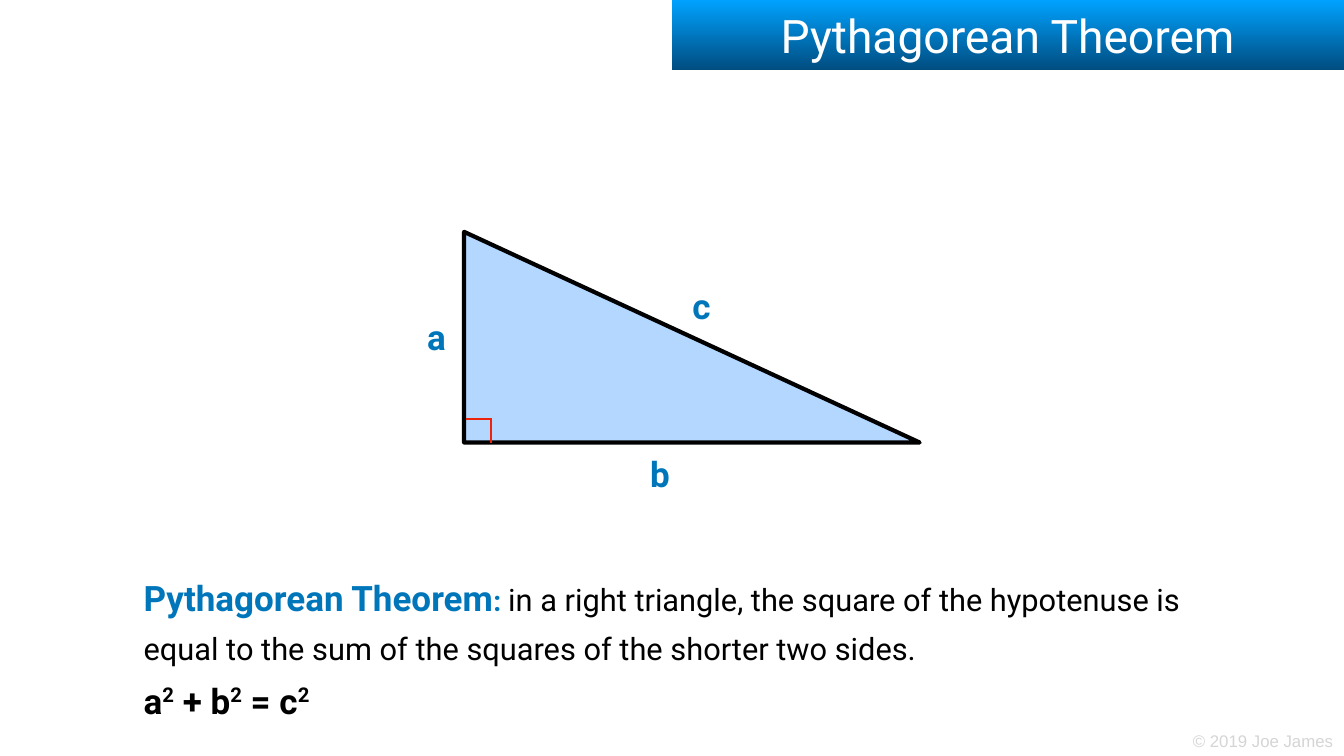
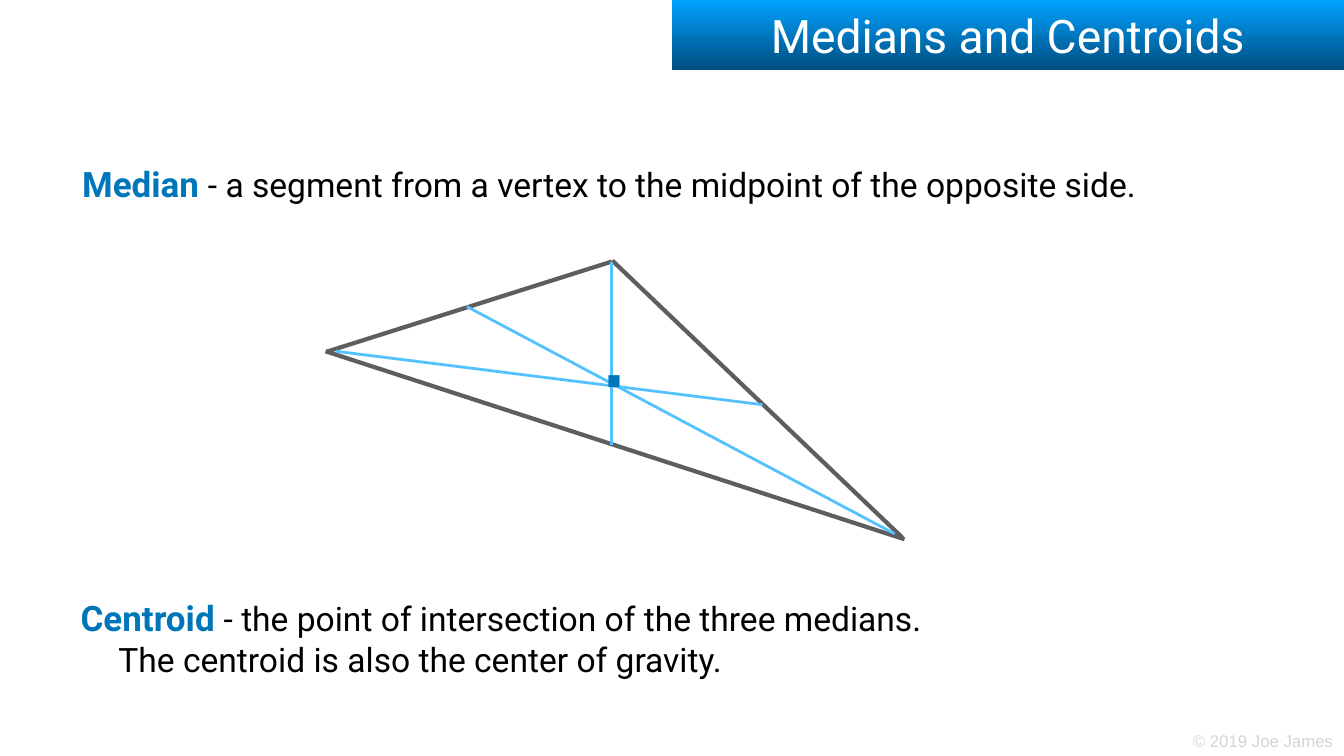
from dataclasses import dataclass

from lxml.etree import SubElement
from pptx import Presentation
from pptx.dml.color import RGBColor
from pptx.enum.shapes import MSO_CONNECTOR, MSO_SHAPE
from pptx.enum.text import MSO_ANCHOR, MSO_AUTO_SIZE, PP_ALIGN
from pptx.oxml.ns import qn
from pptx.util import Pt

PX = 9144  # EMU per px, 100 px to the inch
WIDTH, HEIGHT = 2667, 1500


@dataclass(frozen=True)
class Theme:
    # Colours
    ink: str = "000000"
    accent: str = "0076BA"
    band_top: str = "00A2FF"
    band_bottom: str = "004D80"
    band_text: str = "FFFFFF"
    footer: str = "D5D5D5"
    triangle_fill: str = "B3D7FF"
    right_angle: str = "EE230C"
    side: str = "5E5E5E"
    median: str = "56C1FF"
    # Type
    font: str = "Roboto"
    footer_font: str = "Arial"
    title_size: int = 66
    term_size: int = 50
    body_size: int = 48
    theorem_size: int = 44
    colon_size: int = 40
    dot_size: int = 90
    footer_size: int = 24


THEME = Theme()


def rgb(code):
    return RGBColor.from_string(code)


def add_text(paragraph, text, size=THEME.body_size, color=THEME.ink, bold=False,
             font=THEME.font, raised=False):
    run = paragraph.add_run()
    run.text = text
    run.font.size = Pt(size)
    run.font.name = font
    run.font.bold = bold
    run.font.color.rgb = rgb(color)
    if raised:
        run.font._element.set("baseline", "32000")


class Deck:
    def __init__(self, theme):
        self.theme = theme
        self.prs = Presentation()
        self.prs.slide_width = WIDTH * PX
        self.prs.slide_height = HEIGHT * PX
        self.slide = None

    def start_slide(self, title):
        self.slide = self.prs.slides.add_slide(self.prs.slide_layouts[6])
        t = self.theme
        # Footer
        footer = self.text_box(2361, 1445, 291, 49)
        add_text(footer.paragraphs[0], "© 2019 Joe James", size=t.footer_size,
                 color=t.footer, font=t.footer_font)
        # Title band
        band = self.slide.shapes.add_shape(
            MSO_SHAPE.RECTANGLE, 1333 * PX, 0, 1334 * PX, 139 * PX)
        band.shadow.inherit = False
        band.line.fill.background()
        band.fill.gradient()
        band.fill.gradient_angle = 270
        for stop, color in zip(band.fill.gradient_stops, (t.band_top, t.band_bottom)):
            stop.color.rgb = rgb(color)
        for position, stop in enumerate(band.fill.gradient_stops):
            stop.position = position
        frame = self.set_frame(band.text_frame, MSO_ANCHOR.MIDDLE, True)
        frame.paragraphs[0].alignment = PP_ALIGN.CENTER
        add_text(frame.paragraphs[0], title, size=t.title_size, color=t.band_text)

    def set_frame(self, frame, anchor, wrap):
        frame.margin_left = frame.margin_right = 6 * PX
        frame.margin_top = frame.margin_bottom = 6 * PX
        frame.vertical_anchor = anchor
        frame.word_wrap = wrap
        return frame

    def text_box(self, left, top, width, height, anchor=MSO_ANCHOR.MIDDLE, wrap=False):
        box = self.slide.shapes.add_textbox(left * PX, top * PX, width * PX, height * PX)
        box.text_frame.auto_size = MSO_AUTO_SIZE.SHAPE_TO_FIT_TEXT
        return self.set_frame(box.text_frame, anchor, wrap)

    def label(self, text, left, top, width, height=94, size=THEME.term_size):
        paragraph = self.text_box(left, top, width, height).paragraphs[0]
        paragraph.alignment = PP_ALIGN.CENTER
        add_text(paragraph, text, size=size, color=self.theme.accent, bold=True)

    def definition(self, paragraph, term, meaning):
        add_text(paragraph, term + " ", size=self.theme.term_size,
                 color=self.theme.accent, bold=True)
        add_text(paragraph, meaning)

    def line(self, start, end, color, weight):
        x1, y1, x2, y2 = (value * PX for value in (*start, *end))
        segment = self.slide.shapes.add_connector(MSO_CONNECTOR.STRAIGHT, x1, y1, x2, y2)
        segment.line.color.rgb = rgb(color)
        segment.line.width = Pt(weight)
        SubElement(segment._element.spPr, qn("a:effectLst"))

    def polygon(self, points, fill, line, weight):
        builder = self.slide.shapes.build_freeform(*points[0], scale=PX)
        builder.add_line_segments(points[1:], close=True)
        outline = builder.convert_to_shape()
        outline.shadow.inherit = False
        outline.fill.solid()
        outline.fill.fore_color.rgb = rgb(fill)
        outline.line.color.rgb = rgb(line)
        outline.line.width = Pt(weight)


def pythagorean_slide(deck):
    t = deck.theme
    deck.start_slide("Pythagorean Theorem")

    # Theorem and equation
    theorem = deck.text_box(279, 1113, 2139, 297, MSO_ANCHOR.TOP, True).paragraphs[0]
    theorem.line_spacing = 1.3
    add_text(theorem, "Pythagorean Theorem", size=t.term_size, color=t.accent, bold=True)
    add_text(theorem, ": ", size=t.colon_size, color=t.accent, bold=True)
    add_text(theorem, "in a right triangle, the square of the hypotenuse is equal to "
             "the sum of the squares of the shorter two sides.", size=t.theorem_size)
    theorem.add_line_break()
    for term in ("a", " + b", " = c"):
        add_text(theorem, term, size=t.term_size, bold=True)
        add_text(theorem, "2", size=t.term_size, bold=True, raised=True)

    # Side names
    deck.label("a", 840, 621, 52)
    deck.label("b", 1282, 893, 55)
    deck.label("c", 1366, 560, 52)

    # Right triangle
    deck.polygon([(921, 460), (921, 878), (1825, 878)], t.triangle_fill, t.ink, 6)
    deck.line((976, 832), (924, 832), t.right_angle, 3)
    deck.line((974, 878), (974, 831), t.right_angle, 3)


def medians_slide(deck):
    t = deck.theme
    deck.start_slide("Medians and Centroids")

    # Triangle sides
    for start, end in (((648, 698), (1214, 519)),
                       ((1791, 1067), (1215, 517)),
                       ((646, 697), (1795, 1070))):
        deck.line(start, end, t.side, 6)

    # Medians
    for start, end in (((1213, 883), (1213, 520)),
                       ((667, 697), (1513, 803)),
                       ((926, 608), (1775, 1059))):
        deck.line(start, end, t.median, 4)

    # Definitions and centroid dot
    centroid = deck.text_box(154, 1178, 1734, 173, MSO_ANCHOR.TOP)
    deck.definition(centroid.paragraphs[0], "Centroid",
                    "- the point of intersection of the three medians.")
    gravity = centroid.add_paragraph()
    gravity.level = 3
    gravity._p.get_or_add_pPr().set("marL", str(75 * PX))
    gravity._p.get_or_add_pPr().set("indent", "0")
    add_text(gravity, "The centroid is also the center of gravity.")

    deck.label("∙", 1190, 669, 47, 162, size=t.dot_size)

    median = deck.text_box(157, 317, 2142, 94)
    deck.definition(median.paragraphs[0], "Median",
                    "- a segment from a vertex to the midpoint of the opposite side.")


def main():
    deck = Deck(THEME)
    pythagorean_slide(deck)
    medians_slide(deck)
    deck.prs.save("out.pptx")


if __name__ == "__main__":
    main()
